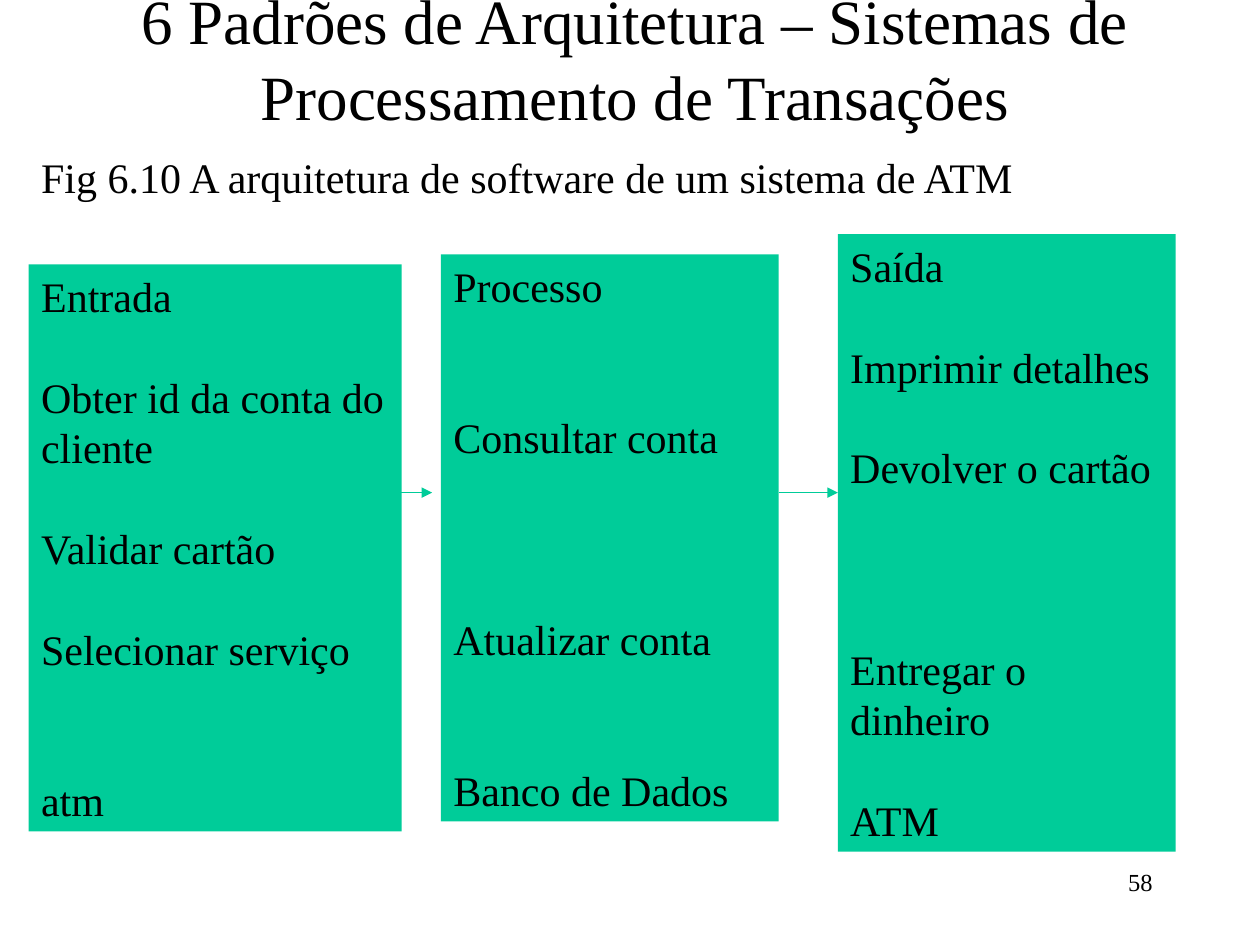
from lxml import etree
from pptx import Presentation
from pptx.dml.color import RGBColor
from pptx.enum.shapes import MSO_CONNECTOR, MSO_SHAPE
from pptx.enum.text import MSO_ANCHOR, MSO_AUTO_SIZE, PP_ALIGN
from pptx.oxml.ns import qn
from pptx.util import Cm, Pt

RECTANGLE = MSO_SHAPE.RECTANGLE
STRAIGHT = MSO_CONNECTOR.STRAIGHT
TOP, MIDDLE = MSO_ANCHOR.TOP, MSO_ANCHOR.MIDDLE
NO_AUTOSIZE = MSO_AUTO_SIZE.NONE
LEFT, CENTER, RIGHT = PP_ALIGN.LEFT, PP_ALIGN.CENTER, PP_ALIGN.RIGHT

FONT = "Times New Roman"
GREEN, BLACK = "00CC99", "000000"
LINE_FACTOR = 1.2


def color(hex_code):
    return RGBColor.from_string(hex_code)


def write(shape, lines, size, align=LEFT, anchor=TOP):
    """Write (text, empty lines above) pairs as paragraphs."""
    frame = shape.text_frame
    frame.word_wrap = True
    frame.auto_size = NO_AUTOSIZE
    frame.vertical_anchor = anchor
    for i, (text, gap) in enumerate(lines):
        paragraph = frame.paragraphs[0] if i == 0 else frame.add_paragraph()
        paragraph.alignment = align
        paragraph.line_spacing = Pt(size * LINE_FACTOR)
        if gap:
            paragraph.space_before = Pt(gap * size * LINE_FACTOR)
        run = paragraph.add_run()
        run.text = text
        run.font.name = FONT
        run.font.size = Pt(size)
        run.font.color.rgb = color(BLACK)


prs = Presentation()
prs.slide_width, prs.slide_height = Cm(25.4), Cm(19.05)
slide = prs.slides.add_slide(prs.slide_layouts[5])
shapes = slide.shapes

# Title
title = shapes.title
title.left, title.top, title.width, title.height = Cm(0), Cm(0), Cm(25.6), Cm(2.31)
write(title, [("6 Padrões de Arquitetura – Sistemas de Processamento de Transações", 0)],
      36, CENTER, MIDDLE)

# Figure caption and page number
caption = shapes.add_textbox(Cm(0.58), Cm(2.92), Cm(24.82), Cm(1.27))
write(caption, [("Fig 6.10 A arquitetura de software de um sistema de ATM", 0)], 24)
page_number = shapes.add_textbox(Cm(18.21), Cm(17.35), Cm(5.28), Cm(1.27))
write(page_number, [("58", 0)], 14, RIGHT)

# Stages: left, top, width, height in cm, then lines with the gap above each
stages = [
    (0.58, 5.33, 7.52, 11.43,
     [("Entrada", 0), ("Obter id da conta do cliente", 1), ("Validar cartão", 1),
      ("Selecionar serviço", 1), ("atm", 2)]),
    (8.89, 5.13, 6.81, 11.43,
     [("Processo", 0), ("Consultar conta", 2), ("Atualizar conta", 3),
      ("Banco de Dados", 2)]),
    (16.89, 4.72, 6.81, 12.45,
     [("Saída", 0), ("Imprimir detalhes", 1), ("Devolver o cartão", 1),
      ("Entregar o dinheiro", 3), ("ATM", 1)]),
]
for left, top, width, height, lines in stages:
    stage = shapes.add_shape(RECTANGLE, Cm(left), Cm(top), Cm(width), Cm(height))
    stage.shadow.inherit = False
    stage.fill.solid()
    stage.fill.fore_color.rgb = color(GREEN)
    stage.line.fill.background()
    write(stage, lines, 24)

# Arrows between stages
ARROW_Y = Cm(9.93)
for start, end in [(7.49, 8.71), (15.7, 16.89)]:
    arrow = shapes.add_connector(STRAIGHT, Cm(start), ARROW_Y, Cm(end), ARROW_Y)
    arrow.line.color.rgb = color(GREEN)
    arrow.line.width = Pt(0.5)
    etree.SubElement(arrow.line._get_or_add_ln(), qn("a:tailEnd"), type="triangle")
    etree.SubElement(arrow._element.spPr, qn("a:effectLst"))

prs.save("out.pptx")
